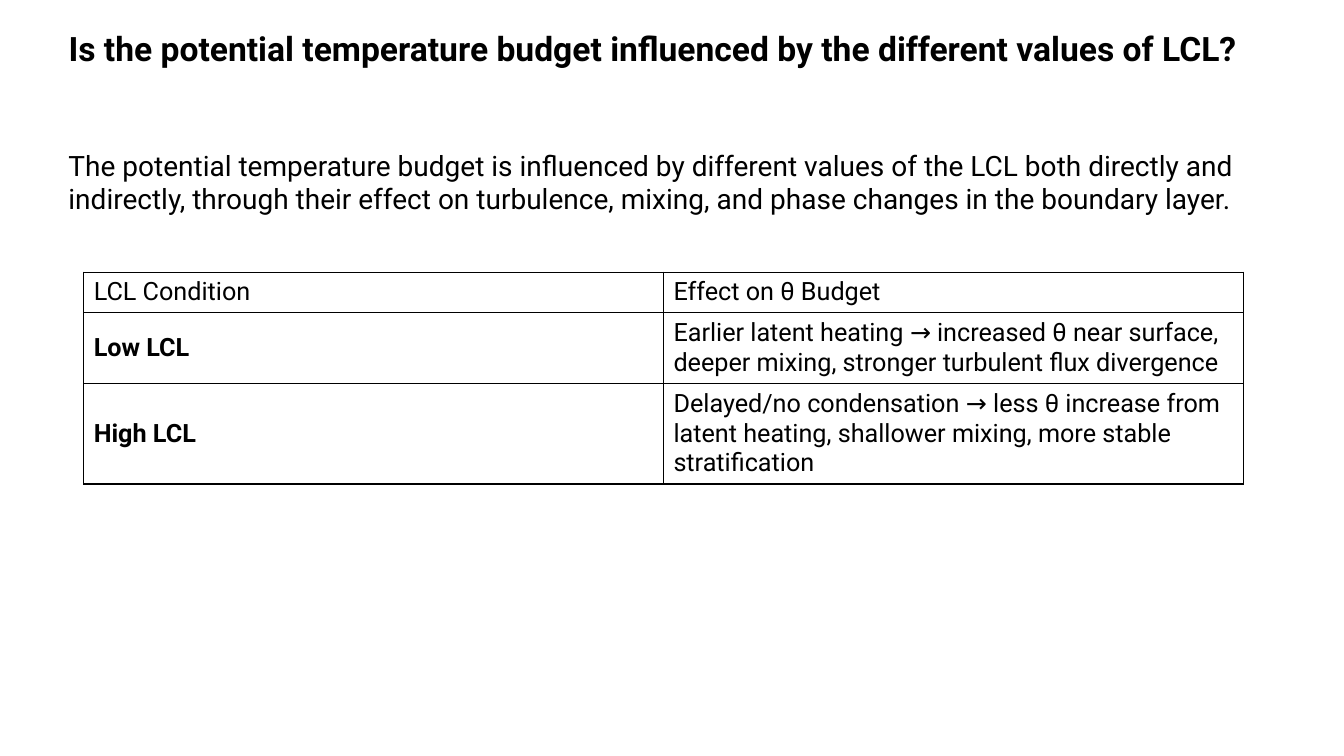
from dataclasses import dataclass

from lxml import etree
from pptx import Presentation
from pptx.dml.color import RGBColor
from pptx.enum import text as t
from pptx.oxml import ns
from pptx.util import Inches, Pt


@dataclass(frozen=True)
class Theme:
    font: str = "Roboto"
    ink: str = "000000"
    title: int = 24
    body: int = 20
    cell: int = 18
    border: int = 1


THEME = Theme()


def write(frame, content, size, bold=False, anchor=t.MSO_ANCHOR.TOP):
    frame.word_wrap = True
    frame.vertical_anchor = anchor
    paragraph = frame.paragraphs[0]
    paragraph.alignment = t.PP_ALIGN.LEFT
    run = paragraph.add_run()
    run.text = content
    run.font.name = THEME.font
    run.font.size = Pt(size)
    run.font.bold = bold
    run.font.color.rgb = RGBColor.from_string(THEME.ink)


def add_borders(cell):
    properties = cell._tc.get_or_add_tcPr()
    for position, side in enumerate(("lnL", "lnR", "lnT", "lnB")):
        line = etree.Element(ns.qn(f"a:{side}"), w=str(Pt(THEME.border)))
        fill = etree.SubElement(line, ns.qn("a:solidFill"))
        etree.SubElement(fill, ns.qn("a:srgbClr"), val=THEME.ink)
        properties.insert(position, line)


deck = Presentation()
deck.slide_width, deck.slide_height = Inches(13.33), Inches(7.5)
slide = deck.slides.add_slide(deck.slide_layouts[5])

left, width = Inches(0.58), Inches(12.01)

question = slide.shapes.title
question.left, question.top = left, Inches(0.23)
question.width, question.height = width, Inches(0.5)
write(question.text_frame,
      "Is the potential temperature budget influenced by the different values of LCL?",
      THEME.title, bold=True)
question.text_frame.auto_size = t.MSO_AUTO_SIZE.NONE

answer = slide.shapes.add_textbox(left, Inches(1.42), width, Inches(1.45))
write(answer.text_frame,
      "The potential temperature budget is influenced by different values of the LCL "
      "both directly and indirectly, through their effect on turbulence, mixing, and "
      "phase changes in the boundary layer.",
      THEME.body)

effects = [
    ("LCL Condition", "Effect on θ Budget"),
    ("Low LCL", "Earlier latent heating → increased θ near surface, "
                "deeper mixing, stronger turbulent flux divergence"),
    ("High LCL", "Delayed/no condensation → less θ increase from latent heating, "
                 "shallower mixing, more stable stratification"),
]
row_heights = (0.4, 0.7, 1.0)
table = slide.shapes.add_table(len(effects), 2, Inches(0.83), Inches(2.7),
                               Inches(11.5), Inches(sum(row_heights))).table
table.first_row = table.horz_banding = False

for row, (entries, height) in enumerate(zip(effects, row_heights)):
    table.rows[row].height = Inches(height)
    for column, entry in enumerate(entries):
        cell = table.cell(row, column)
        cell.fill.background()
        cell.vertical_anchor = t.MSO_ANCHOR.MIDDLE
        write(cell.text_frame, entry, THEME.cell, bold=row > 0 and column == 0,
              anchor=t.MSO_ANCHOR.MIDDLE)
        add_borders(cell)

deck.save("out.pptx")
